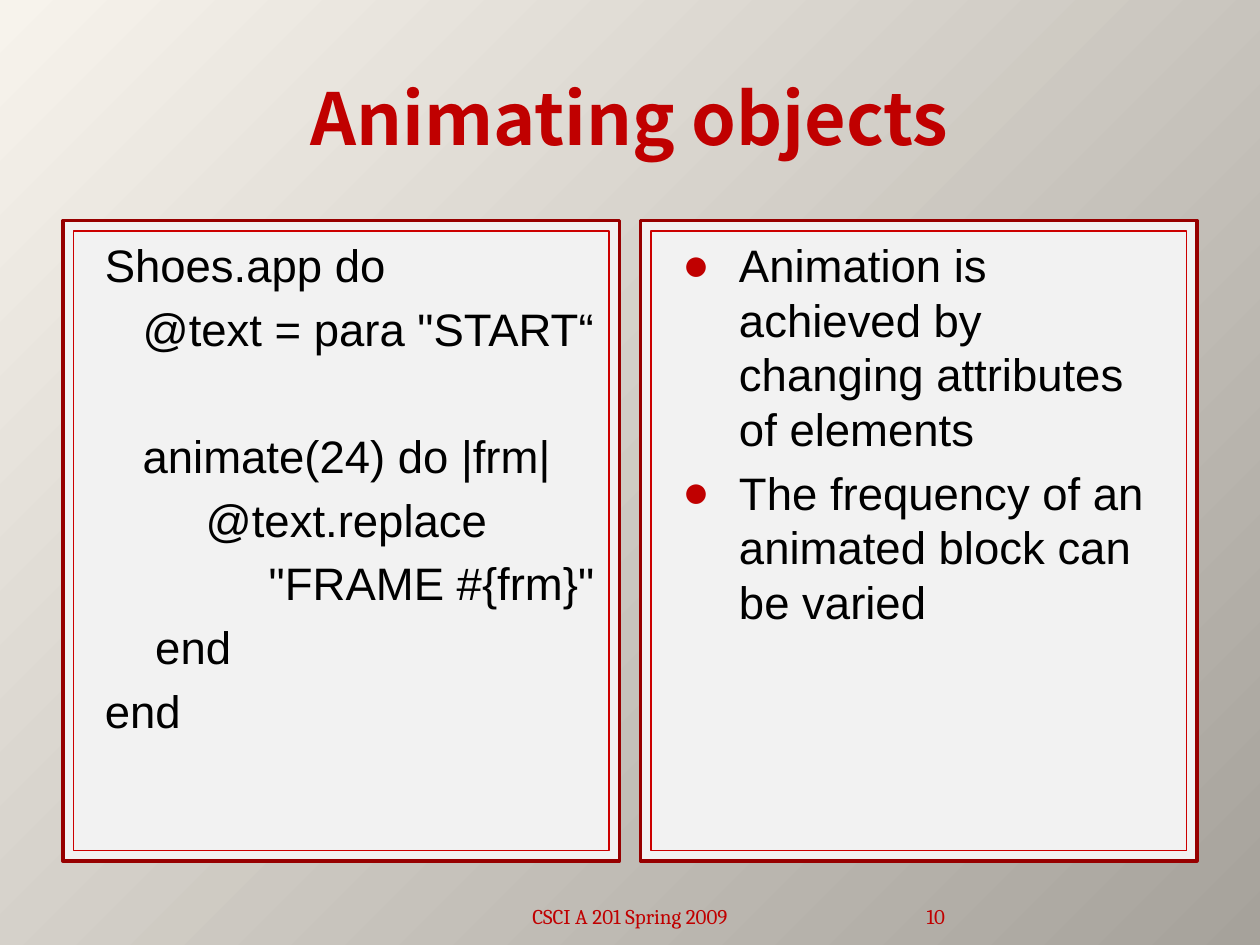
from dataclasses import dataclass

import pptx
import pptx.dml.color
import pptx.enum.shapes
import pptx.enum.text
import pptx.oxml
import pptx.oxml.ns
import pptx.util

ALIGN = pptx.enum.text.PP_ALIGN
ANCHOR = pptx.enum.text.MSO_ANCHOR
COLUMNS, ROWS = 120, 90


@dataclass(frozen=True)
class Theme:
    light: str = "F7F3EC"
    dark: str = "A6A29B"
    panel: str = "F2F2F2"
    frame: str = "970000"
    rule: str = "CC0000"
    accent: str = "C00000"
    ink: str = "000000"
    title_font: str = "Noto Sans CJK SC"
    body_font: str = "Arial"
    footer_font: str = "Cambria"
    title_size: float = 41
    body_size: float = 26
    footer_size: float = 12
    body_gap: float = 5.2


THEME = Theme()
CODE = [
    "Shoes.app do",
    "   @text = para \"START“",
    "   animate(24) do |frm|",
    "        @text.replace",
    "             \"FRAME #{frm}\"",
    "    end",
    "end",
]
POINTS = [
    "Animation is achieved by changing attributes of elements",
    "The frequency of an animated block can be varied",
]


def rgb(value):
    return pptx.dml.color.RGBColor.from_string(value)


def place(prs, box):
    x, y, w, h = box
    col, row = prs.slide_width / COLUMNS, prs.slide_height / ROWS
    return int(x * col), int(y * row), int(w * col), int(h * row)


def inset(box, step):
    x, y, w, h = box
    return x + step, y + step, w - 2 * step, h - 2 * step


def add_bullet(p):
    ns = pptx.oxml.ns.nsdecls("a")
    pPr = p._p.get_or_add_pPr()
    pPr.append(pptx.oxml.parse_xml(
        f'<a:buClr {ns}><a:srgbClr val="{THEME.accent}"/></a:buClr>'))
    pPr.append(pptx.oxml.parse_xml(f'<a:buFont {ns} typeface="{THEME.body_font}"/>'))
    pPr.append(pptx.oxml.parse_xml(f'<a:buChar {ns} char="●"/>'))


def write(p, text, *, font, size, color, bold=False, align=ALIGN.LEFT,
          before=0, hanging=False, bullet=False):
    p.alignment = align
    p.space_before = pptx.util.Pt(before)
    if hanging:
        pPr = p._p.get_or_add_pPr()
        pPr.set("marL", str(pptx.util.Inches(0.6)))
        pPr.set("indent", str(pptx.util.Inches(-0.45)))
    if bullet:
        add_bullet(p)
    r = p.add_run()
    r.text = text
    r.font.name, r.font.size, r.font.bold = font, pptx.util.Pt(size), bold
    r.font.color.rgb = rgb(color)


def add_label(prs, s, box, text, anchor, side=0.1, **style):
    tf = s.shapes.add_textbox(*place(prs, box)).text_frame
    tf.word_wrap = True
    tf.vertical_anchor = anchor
    tf.margin_left = tf.margin_right = pptx.util.Inches(side)
    write(tf.paragraphs[0], text, **style)


def add_rect(prs, s, box, line, width):
    sp = s.shapes.add_shape(
        pptx.enum.shapes.MSO_SHAPE.RECTANGLE, *place(prs, box))
    sp.shadow.inherit = False
    sp.fill.solid()
    sp.fill.fore_color.rgb = rgb(THEME.panel)
    sp.line.color.rgb = rgb(line)
    sp.line.width = pptx.util.Pt(width)
    return sp


def add_panel(prs, s, box, lines, bullet=False, gap_at=None):
    add_rect(prs, s, box, THEME.frame, 2)
    tf = add_rect(prs, s, inset(box, 1), THEME.rule, 0.75).text_frame
    tf.word_wrap = True
    tf.vertical_anchor = ANCHOR.TOP
    for i, text in enumerate(lines):
        p = tf.paragraphs[0] if i == 0 else tf.add_paragraph()
        before = THEME.body_gap if i else 0
        if i == gap_at:
            before = 8 * THEME.body_gap
        write(p, text, font=THEME.body_font, size=THEME.body_size,
              color=THEME.ink, before=before, hanging=True, bullet=bullet)


def add_background(s):
    fill = s.background.fill
    fill.gradient()
    fill.gradient_angle = 315
    for stop, color in zip(fill.gradient_stops, (THEME.light, THEME.dark)):
        stop.color.rgb = rgb(color)


def add_title(prs, s, box):
    add_label(prs, s, box, "Animating objects", ANCHOR.MIDDLE,
              font=THEME.title_font, size=THEME.title_size,
              color=THEME.accent, bold=True, align=ALIGN.CENTER)


def add_columns(prs, s, box):
    x, y, w, h = box
    gap = 2
    width = (w - gap) / 2
    add_panel(prs, s, (x, y, width, h), CODE, gap_at=2)
    add_panel(prs, s, (x + width + gap, y, width, h), POINTS, bullet=True)


def add_footer(prs, s, box):
    x, y, w, h = box
    style = dict(font=THEME.footer_font, size=THEME.footer_size,
                 color=THEME.accent)
    add_label(prs, s, (x, y, 38, h), "CSCI A 201 Spring 2009", ANCHOR.BOTTOM,
              align=ALIGN.CENTER, **style)
    add_label(prs, s, (x + w - 10, y, 10, h), "10", ANCHOR.BOTTOM, side=0,
              align=ALIGN.RIGHT, **style)


def main():
    prs = pptx.Presentation()
    prs.slide_width = pptx.util.Inches(10)
    prs.slide_height = pptx.util.Inches(7.5)
    s = prs.slides.add_slide(prs.slide_layouts[6])
    add_background(s)
    add_title(prs, s, (6, 3.6, 108, 15))
    add_columns(prs, s, (6, 21, 108, 61))
    add_footer(prs, s, (41, 84.2, 49, 4.8))
    prs.save("out.pptx")


if __name__ == "__main__":
    main()
